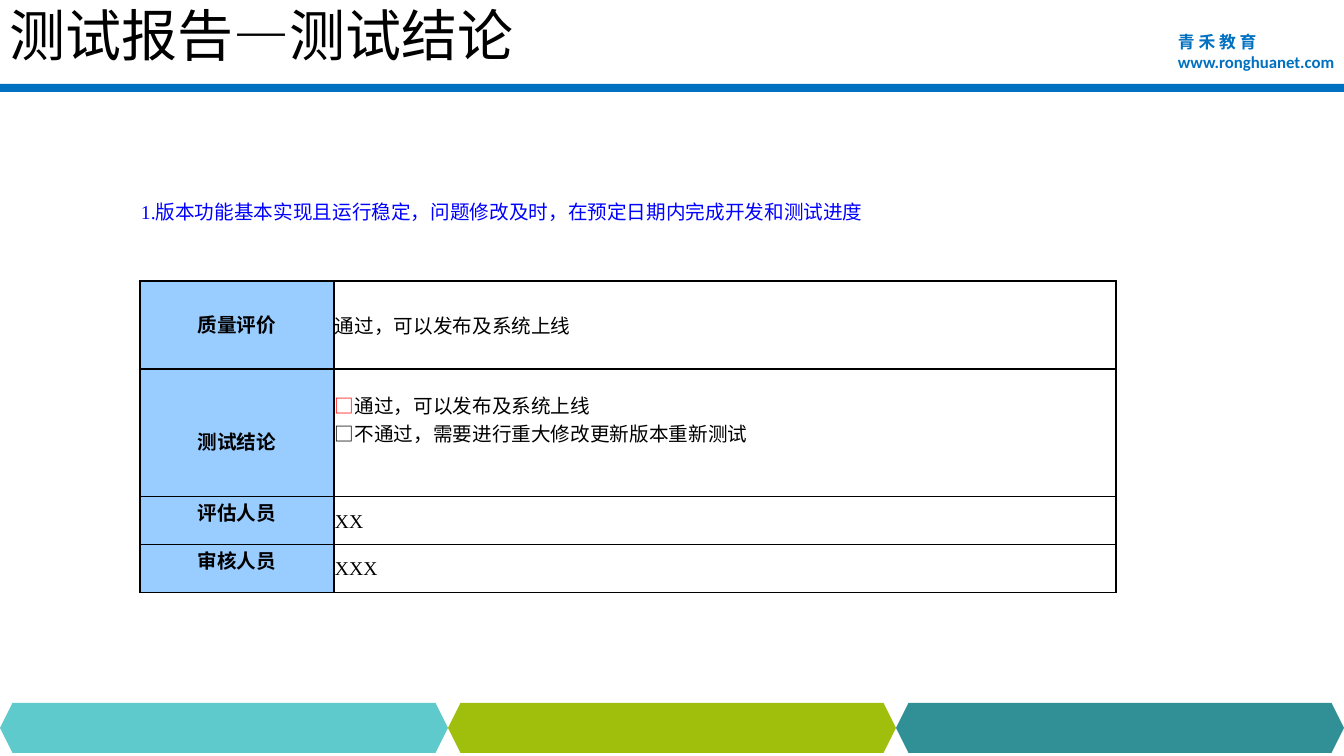
from dataclasses import dataclass

from lxml.etree import SubElement
from pptx import Presentation
from pptx.dml.color import RGBColor
from pptx.enum.shapes import MSO_SHAPE
from pptx.enum.text import MSO_ANCHOR, PP_ALIGN
from pptx.oxml.ns import qn
from pptx.util import Emu, Pt

EMU_PER_PX = 914400 / 100.8


@dataclass(frozen=True)
class Theme:
    blue: str = "0070C0"
    black: str = "000000"
    red: str = "FF0000"
    summary: str = "0000FF"
    label_fill: str = "99CCFF"
    footer: tuple[str, ...] = ("5FCACB", "A0BF0D", "319095")
    chinese: str = "Noto Sans CJK SC"
    serif: str = "Times New Roman"
    heading: str = "Arial"
    web: str = "Calibri"
    title_size: int = 40
    body_size: int = 14
    brand_size: int = 12
    border_points: int = 1


THEME = Theme()


@dataclass(frozen=True)
class Span:
    text: str
    color: str = THEME.black
    font: str = THEME.chinese


@dataclass(frozen=True)
class ReportRow:
    height: int
    label: str
    label_top: int
    lines: tuple[tuple[Span, ...], ...]
    bottom: int = 0


SUMMARY = (
    Span("1.", THEME.summary, THEME.serif),
    Span("版本功能基本实现且运行稳定，问题修改及时，在预定日期内完成开发和测试进度", THEME.summary),
)
SUMMARY_HEIGHTS = (45, 48)
COLUMN_WIDTHS = (194, 782)
REPORT_ROWS = (
    ReportRow(88, "质量评价", 29, ((Span("通过，可以发布及系统上线"),),)),
    ReportRow(
        128, "测试结论", 58,
        ((Span("□", THEME.red), Span("通过，可以发布及系统上线")),
         (Span("□不通过，需要进行重大修改更新版本重新测试"),)),
        bottom=29,
    ),
    ReportRow(48, "评估人员", 1, ((Span("XX", font=THEME.serif),),)),
    ReportRow(48, "审核人员", 1, ((Span("XXX", font=THEME.serif),),)),
)


def px(length: int) -> Emu:
    return Emu(round(length * EMU_PER_PX))


def write_text(frame, lines, *, size: int, bold: bool = False, align=PP_ALIGN.LEFT) -> None:
    """Write one paragraph for each line of spans."""
    for index, line in enumerate(lines):
        para = frame.add_paragraph() if index else frame.paragraphs[0]
        para.alignment = align
        for span in line:
            run = para.add_run()
            run.text = span.text
            run.font.size = Pt(size)
            run.font.bold = bold
            run.font.name = span.font
            run.font.color.rgb = RGBColor.from_string(span.color)
            SubElement(run.font._element, qn("a:ea"), typeface=THEME.chinese)


def add_shape(page, kind, left: int, top: int, width: int, height: int, color: str) -> None:
    shape = page.shapes.add_shape(kind, px(left), px(top), px(width), px(height))
    shape.shadow.inherit = False
    shape.fill.solid()
    shape.fill.fore_color.rgb = RGBColor.from_string(color)
    shape.line.fill.background()


def add_text_box(page, left: int, top: int, width: int, height: int):
    """Add a box whose text may run to its right edge."""
    box = page.shapes.add_textbox(px(left), px(top), px(width), px(height))
    box.text_frame.word_wrap = True
    box.text_frame.margin_right = 0
    return box.text_frame


def format_cell(cell, *, borders: str = "", fill: str = "", top: int = 1, bottom: int = 0,
                anchor=MSO_ANCHOR.MIDDLE) -> None:
    """Set margins, fill, and borders on the sides named by L, R, T and B."""
    cell.margin_left = cell.margin_right = px(1)
    cell.margin_top, cell.margin_bottom = px(top), px(bottom)
    cell.vertical_anchor = anchor
    properties = cell._tc.get_or_add_tcPr()
    for side in "LRTB":
        line = SubElement(properties, qn(f"a:ln{side}"), w=str(Pt(THEME.border_points)))
        if side in borders:
            color = SubElement(line, qn("a:solidFill"))
            SubElement(color, qn("a:srgbClr"), val=THEME.black)
        else:
            SubElement(line, qn("a:noFill"))
    if fill:
        cell.fill.solid()
        cell.fill.fore_color.rgb = RGBColor.from_string(fill)
    else:
        cell.fill.background()


def add_header(page) -> None:
    add_shape(page, MSO_SHAPE.RECTANGLE, 0, 84, 1344, 8, THEME.blue)
    brand = add_text_box(page, 1168, 27, 176, 50)
    brand_lines = (
        (Span("青 禾 教 育", THEME.blue),),
        (Span("www.ronghuanet.com", THEME.blue, THEME.web),),
    )
    write_text(brand, brand_lines, size=THEME.brand_size, bold=True)
    title = add_text_box(page, 0, -1, 1008, 71)
    title.vertical_anchor = MSO_ANCHOR.MIDDLE
    title_span = Span("测试报告—测试结论", font=THEME.heading)
    write_text(title, ((title_span,),), size=THEME.title_size)


def add_footer(page) -> None:
    width = 1344 // len(THEME.footer)
    for index, color in enumerate(THEME.footer):
        add_shape(page, MSO_SHAPE.HEXAGON, index * width, 703, width, 50, color)


def add_report_table(page) -> None:
    heights = SUMMARY_HEIGHTS + tuple(row.height for row in REPORT_ROWS)
    frame = page.shapes.add_table(len(heights), len(COLUMN_WIDTHS), px(140), px(188),
                                  px(sum(COLUMN_WIDTHS)), px(sum(heights)))
    table = frame.table
    table.first_row = table.horz_banding = False
    for column, width in zip(table.columns, COLUMN_WIDTHS):
        column.width = px(width)
    for table_row, height in zip(table.rows, heights):
        table_row.height = px(height)

    # Summary line and the open row below it
    for column in range(len(COLUMN_WIDTHS)):
        format_cell(table.cell(0, column))
        format_cell(table.cell(1, column), borders="B")
    table.cell(0, 0).merge(table.cell(0, 1))
    write_text(table.cell(0, 0).text_frame, (SUMMARY,), size=THEME.body_size)

    # Labelled results
    for index, row in enumerate(REPORT_ROWS, start=len(SUMMARY_HEIGHTS)):
        label, result = table.cell(index, 0), table.cell(index, 1)
        format_cell(label, borders="LRTB", fill=THEME.label_fill, top=row.label_top,
                    anchor=MSO_ANCHOR.TOP)
        write_text(label.text_frame, ((Span(row.label),),), size=THEME.body_size,
                   bold=True, align=PP_ALIGN.CENTER)
        format_cell(result, borders="LRTB", bottom=row.bottom)
        write_text(result.text_frame, row.lines, size=THEME.body_size)


def main() -> None:
    deck = Presentation()
    deck.slide_width, deck.slide_height = px(1344), px(756)
    page = deck.slides.add_slide(deck.slide_layouts[6])
    add_header(page)
    add_footer(page)
    add_report_table(page)
    deck.save("out.pptx")


if __name__ == "__main__":
    main()
